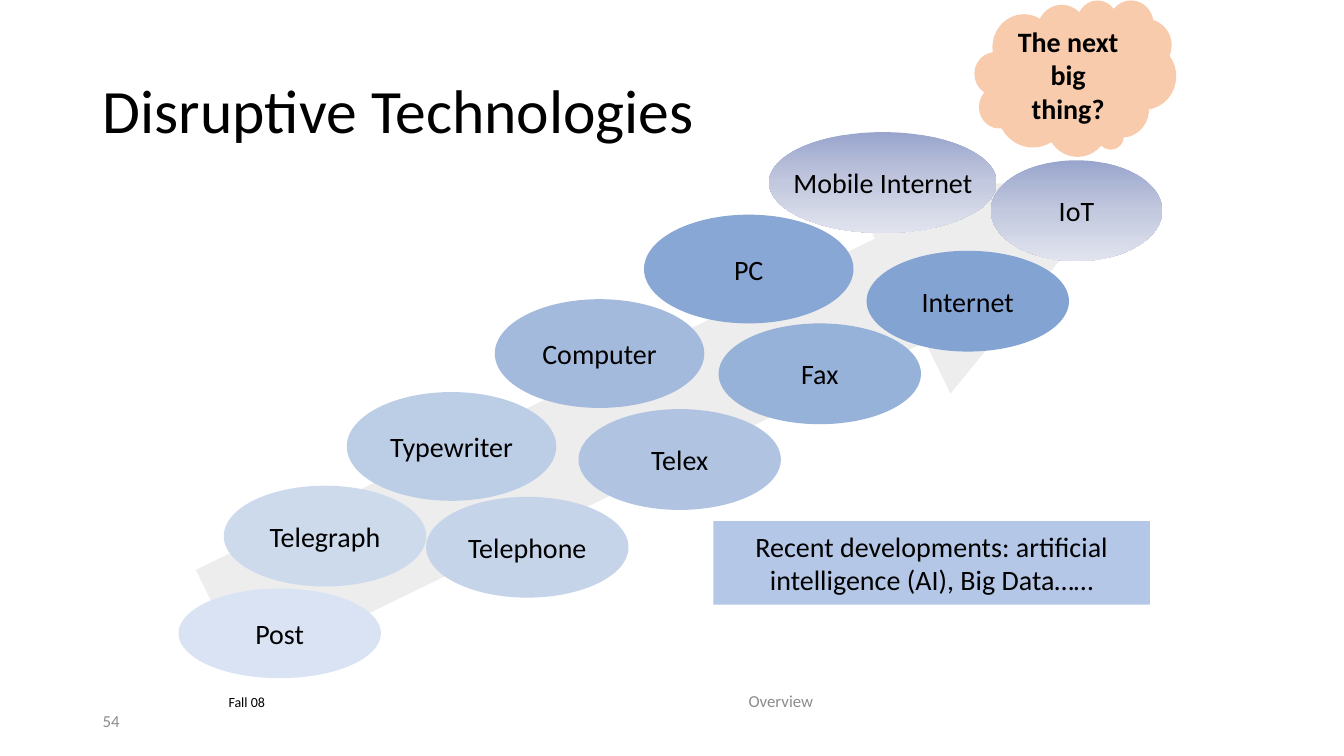
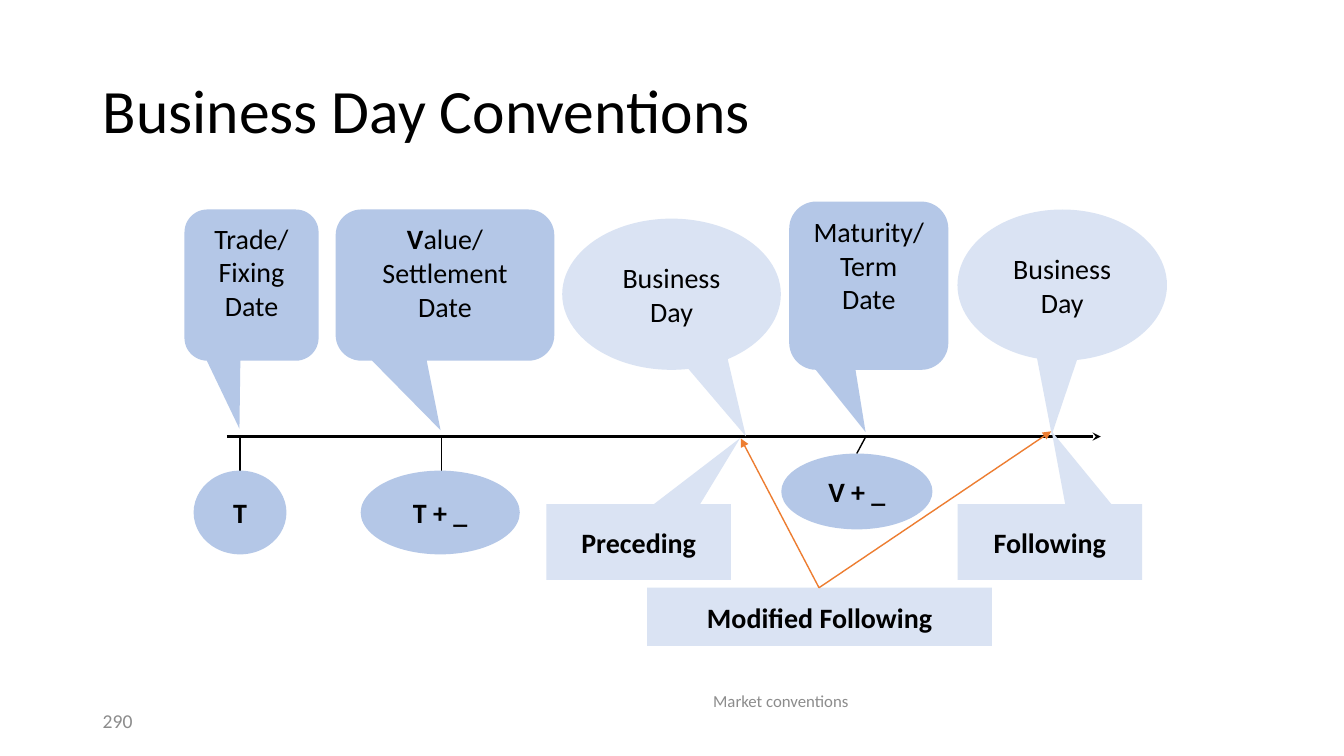
"""Build two slides: the disruptive technologies path and the business day timeline."""
from copy import deepcopy
from dataclasses import dataclass
from typing import Any, Sequence

from lxml.etree import SubElement
from pptx import Presentation
from pptx.dml.color import RGBColor
from pptx.enum.shapes import MSO_CONNECTOR, MSO_SHAPE
from pptx.enum.text import MSO_ANCHOR, PP_ALIGN
from pptx.oxml.ns import qn
from pptx.slide import Slide
from pptx.util import Cm, Pt

OVAL, RECT = MSO_SHAPE.OVAL, MSO_SHAPE.RECTANGLE
ARROW, CLOUD = MSO_SHAPE.RIGHT_ARROW, MSO_SHAPE.CLOUD_CALLOUT
ROUND_CALLOUT = MSO_SHAPE.ROUNDED_RECTANGULAR_CALLOUT
OVAL_CALLOUT, RECT_CALLOUT = MSO_SHAPE.OVAL_CALLOUT, MSO_SHAPE.RECTANGULAR_CALLOUT
STRAIGHT = MSO_CONNECTOR.STRAIGHT
TOP, MIDDLE = MSO_ANCHOR.TOP, MSO_ANCHOR.MIDDLE
LEFT, CENTER = PP_ALIGN.LEFT, PP_ALIGN.CENTER

BLACK, GREY, ORANGE = "000000", "8C8C8C", "ED7D31"
BLUE, PALE, PEACH, PATH_GREY = "B4C7E7", "DAE3F3", "F8CBAD", "EDEDED"
SKY = ("99A5CC", "C2C8DE", "E1E4EE")

Box = tuple[float, float, float, float]
Point = tuple[float, float]

TITLE_BOX: Box = (2.34, 1.02, 29.21, 3.68)
NUMBER_BOX: Box = (2.34, 17.65, 7.62, 1.02)
DATE_BOX: Box = (5.51, 17.35, 5.92, 1.27)
FOOTER_BOX: Box = (9.75, 17.07, 19.86, 1.19)
AXIS_Y = 11.0


@dataclass(frozen=True)
class Node:
    """A filled shape with its text."""

    preset: Any
    box: Box
    fill: str | tuple[str, ...]
    lines: tuple[str, ...] = ()
    lead: str = ""
    bold: bool = False
    wrap: bool = False
    anchor: Any = MIDDLE
    adjust: tuple[float, ...] = ()
    rotation: int = 0


@dataclass(frozen=True)
class Stroke:
    """A straight line with an optional arrowhead."""

    start: Point
    end: Point
    color: str = BLACK
    width: float = 1
    head: str = ""


LOWER_STEPS = (
    ("Telegraph", 5.64, 12.24, "CCDAEC"),
    ("Telephone", 10.74, 12.52, "C5D4E9"),
    ("Telex", 14.58, 10.31, "B0C4E2"),
    ("Fax", 18.11, 8.15, "97B2D9"),
    ("Internet", 21.84, 6.32, "83A3D3"),
)
UPPER_STEPS = (
    ("Typewriter", 8.74, 9.88, "BCCDE6"),
    ("Computer", 12.47, 7.54, "A3BADD"),
    ("PC", 16.23, 5.41, "88A7D4"),
)

TECHNOLOGIES = (
    Node(ARROW, (4.29, 7.21, 25.35, 5.79), PATH_GREY, adjust=(0.5, 1.09), rotation=334),
    Node(OVAL, (4.5, 14.83, 5.1, 2.26), PALE, ("Post",)),
    *(
        Node(OVAL, (left, top, width, height), fill, (label,))
        for steps, width, height in ((LOWER_STEPS, 5.1, 2.54), (UPPER_STEPS, 5.28, 2.74))
        for label, left, top, fill in steps
    ),
    Node(CLOUD, (24.56, 0, 5.08, 3.94), PEACH, ("The next big thing?",),
         bold=True, wrap=True, adjust=(0.08, 0.17)),
    Node(RECT, (17.98, 13.13, 11, 2.11), BLUE,
         ("Recent developments: artificial intelligence (AI), Big Data……",), wrap=True),
    Node(OVAL, (19.38, 3.33, 5.74, 2.54), SKY, ("Mobile Internet",)),
    Node(OVAL, (24.97, 4.04, 4.32, 2.54), SKY, ("IoT",)),
)

TIMELINE = (
    Stroke((5.72, AXIS_Y), (27.74, AXIS_Y), width=1.5, head="stealth"),
    Stroke((6.05, AXIS_Y), (6.05, 12.07)),
    Stroke((11.13, AXIS_Y), (11.13, 11.99)),
    Stroke((21.82, AXIS_Y), (21.59, 11.43)),
)
MODIFIED_ARROWS = tuple(
    Stroke((20.64, 14.81), target, ORANGE, head="triangle")
    for target in ((18.67, 11.05), (26.49, 10.87))
)

DATES = (
    *(
        Node(ROUND_CALLOUT, box, BLUE, lines, lead, wrap=True, anchor=TOP, adjust=(*tip, 0.17))
        for box, lines, lead, tip in (
            ((4.65, 5.28, 3.38, 3.81), ("Trade/", "Fixing", "Date"), "", (-0.09, 0.95)),
            ((8.46, 5.28, 5.51, 3.81), ("alue/", "Settlement", "Date"), "V", (-0.02, 0.96)),
            ((19.89, 5.08, 4.01, 4.24), ("Maturity/", "Term", "Date"), "", (-0.02, 0.87)),
        )
    ),
    *(
        Node(OVAL_CALLOUT, box, PALE, ("Business", "Day"), wrap=True, adjust=tip)
        for box, tip in (
            ((14.17, 5.51, 5.51, 3.81), (0.34, 0.94)),
            ((24.13, 5.28, 5.28, 3.81), (-0.05, 0.99)),
        )
    ),
    *(
        Node(RECT_CALLOUT, (left, 12.7, 4.65, 1.91), PALE, (rule,),
             bold=True, wrap=True, adjust=tip, rotation=180)
        for rule, left, tip in (
            ("Preceding", 13.77, (-0.55, 1.37)),
            ("Following", 24.13, (-0.01, 1.46)),
        )
    ),
    Node(RECT, (16.31, 14.81, 8.69, 1.47), PALE, ("Modified Following",), bold=True),
    *(
        Node(OVAL, box, BLUE, (label,), bold=True)
        for label, box in (
            ("T", (4.88, 11.86, 2.34, 2.11)),
            ("T + _", (9.09, 11.86, 4.01, 2.11)),
            ("V + _", (19.69, 11.43, 3.81, 1.91)),
        )
    ),
)


def rgb(color: str) -> RGBColor:
    """Turn a hex string into a colour."""
    return RGBColor.from_string(color)


def lengths(box: Sequence[float]) -> list[Cm]:
    """Turn centimetre values into lengths."""
    return [Cm(value) for value in box]


def apply(target: Any, formats: dict[str, Any]) -> None:
    """Set every attribute named in a dict of format values."""
    for name, value in formats.items():
        setattr(target, name, value)


def style_font(font: Any, size: float, color: str = BLACK, bold: bool = False) -> None:
    """Format a font in the deck typeface."""
    apply(font, {"name": "Calibri", "size": Pt(size), "bold": bold})
    font.color.rgb = rgb(color)


def paint(node_shape: Any, fill: str | tuple[str, ...]) -> None:
    """Fill a shape with one colour or a downward gradient."""
    if isinstance(fill, str):
        node_shape.fill.solid()
        node_shape.fill.fore_color.rgb = rgb(fill)
        return
    node_shape.fill.gradient()
    node_shape.fill.gradient_angle = 270
    stops = node_shape._element.spPr.find(qn("a:gradFill")).find(qn("a:gsLst"))
    while len(stops) < len(fill):
        stops.append(deepcopy(stops[0]))
    for index, (stop, color) in enumerate(zip(node_shape.fill.gradient_stops, fill)):
        stop.position = index / (len(fill) - 1)
        stop.color.rgb = rgb(color)


def draw_node(slide: Slide, node: Node) -> None:
    """Draw a filled shape and its centred text."""
    drawn = slide.shapes.add_shape(node.preset, *lengths(node.box))
    apply(drawn, {"rotation": node.rotation})
    drawn.shadow.inherit = False
    drawn.line.fill.background()
    paint(drawn, node.fill)
    for index, value in enumerate(node.adjust):
        drawn.adjustments[index] = value
    frame = drawn.text_frame
    apply(frame, {"word_wrap": node.wrap, "vertical_anchor": node.anchor})
    if node.rotation == 180:
        drawn._element.txBody.bodyPr.set("rot", "10800000")
    for index, line in enumerate(node.lines):
        paragraph = frame.add_paragraph() if index else frame.paragraphs[0]
        paragraph.alignment = CENTER
        pieces = [(line, node.bold)]
        if node.lead and not index:
            pieces.insert(0, (node.lead, True))
        for words, bold in pieces:
            run = paragraph.add_run()
            run.text = words
            style_font(run.font, 20, bold=bold)


def draw_stroke(slide: Slide, stroke: Stroke) -> None:
    """Draw a straight line or arrow."""
    drawn = slide.shapes.add_connector(STRAIGHT, *lengths((*stroke.start, *stroke.end)))
    drawn.line.color.rgb = rgb(stroke.color)
    drawn.line.width = Pt(stroke.width)
    properties = drawn._element.spPr
    if stroke.head:
        SubElement(properties.find(qn("a:ln")), qn("a:tailEnd"), type=stroke.head)
    SubElement(properties, qn("a:effectLst"))


def add_label(slide: Slide, words: str, box: Box, size: float, color: str = GREY,
              align: Any = LEFT, anchor: Any = MIDDLE) -> None:
    """Add a small line of text at the slide foot."""
    frame = slide.shapes.add_textbox(*lengths(box)).text_frame
    apply(frame, {"word_wrap": True, "vertical_anchor": anchor, "text": words})
    frame.paragraphs[0].alignment = align
    style_font(frame.paragraphs[0].runs[0].font, size, color)


def add_slide(deck: Any, heading: str, footer: str, number: str, number_size: float) -> Slide:
    """Add a slide with its title, footer and number."""
    slide = deck.slides.add_slide(deck.slide_layouts[5])
    title = slide.shapes.title
    apply(title, dict(zip(("left", "top", "width", "height"), lengths(TITLE_BOX))))
    apply(title.text_frame, {"text": heading, "vertical_anchor": MIDDLE, "word_wrap": True})
    paragraph = title.text_frame.paragraphs[0]
    apply(paragraph, {"alignment": LEFT, "line_spacing": 0.9})
    style_font(paragraph.runs[0].font, 44)
    add_label(slide, footer, FOOTER_BOX, 12, align=CENTER)
    add_label(slide, number, NUMBER_BOX, number_size)
    return slide


def main() -> None:
    """Build and save the deck."""
    deck = Presentation()
    apply(deck, {"slide_width": Cm(33.87), "slide_height": Cm(19.05)})

    technologies = add_slide(deck, "Disruptive Technologies", "Overview", "54", 12)
    add_label(technologies, "Fall 08", DATE_BOX, 10, BLACK, anchor=TOP)
    for node in TECHNOLOGIES:
        draw_node(technologies, node)

    conventions = add_slide(deck, "Business Day Conventions", "Market conventions", "290", 14)
    for stroke in TIMELINE:
        draw_stroke(conventions, stroke)
    for node in DATES:
        draw_node(conventions, node)
    for stroke in MODIFIED_ARROWS:
        draw_stroke(conventions, stroke)

    deck.save("out.pptx")


if __name__ == "__main__":
    main()
